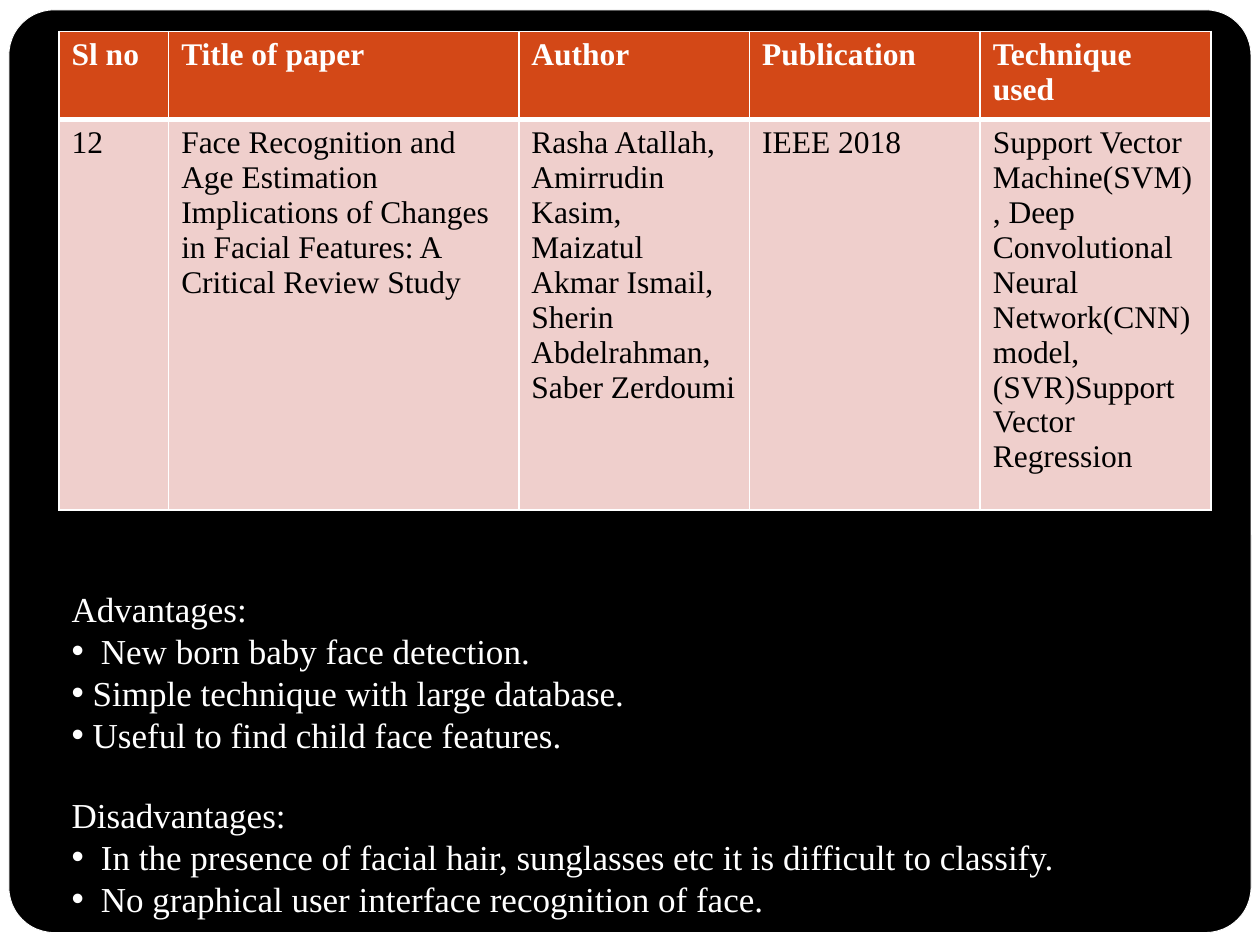
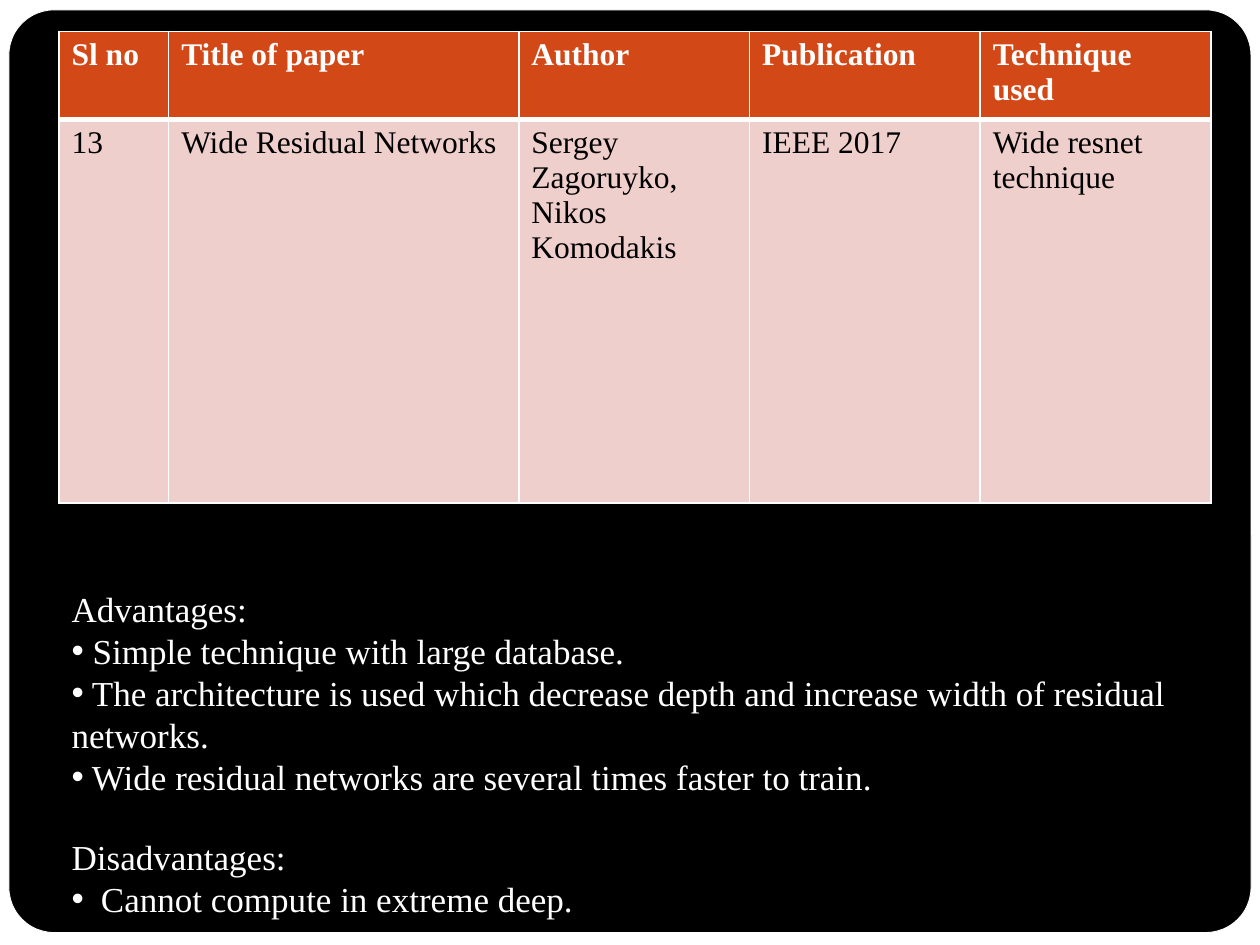
"""Builds two literature survey slides: a paper table above its pros and cons."""
from dataclasses import dataclass

from lxml import etree
from pptx import Presentation
from pptx import util as u
from pptx.dml.color import RGBColor
from pptx.enum import shapes, text
from pptx.oxml import ns


@dataclass(frozen=True)
class Theme:
    """Colours, font and type sizes shared by the slides."""
    white: str = "FFFFFF"
    black: str = "000000"
    header: str = "D34817"
    cell: str = "EFCFCC"
    font: str = "Times New Roman"
    table_size: int = 18
    list_size: int = 20
    line_spacing: float = 1.0
    section_gap: float = 21.6


@dataclass(frozen=True)
class Box:
    """A region of the slide in centimetres."""
    left: float
    top: float
    width: float
    height: float

    def lengths(self):
        """Return left, top, width and height as lengths."""
        return [u.Cm(value) for value in (self.left, self.top, self.width, self.height)]


@dataclass(frozen=True)
class Point:
    """A bulleted statement, either hanging or flush with the margin."""
    words: str
    hanging: bool = True


@dataclass(frozen=True)
class Paper:
    """One surveyed paper with its table cells and its pros and cons."""
    cells: tuple
    row_height: float
    advantages: tuple
    disadvantages: tuple


THEME = Theme()
PAGE = Box(0, 0, 25.4, 19.05)
PANEL = Box(0.18, 0.2, 25.04, 18.6)
REVIEW = Box(1.19, 11.71, 23.42, 7.05)
TABLE_LEFT, TABLE_TOP = 1.19, 0.63
COLUMN_WIDTHS = (2.21, 7.06, 4.65, 4.65, 4.65)
HEADER_HEIGHT = 1.78
HANGING_INDENT = 0.59
THIN, THICK = 1, 3
HEADINGS = ("Sl no", "Title of paper", "Author", "Publication", "Technique used")

PAPERS = (
    Paper(
        ("12",
         "Face Recognition and Age Estimation Implications of Changes in Facial "
         "Features: A Critical Review Study",
         "Rasha Atallah, Amirrudin Kasim, Maizatul Akmar Ismail, "
         "Sherin Abdelrahman, Saber Zerdoumi",
         "IEEE 2018",
         "Support Vector Machine(SVM), Deep Convolutional Neural Network(CNN) "
         "model, (SVR)Support Vector Regression"),
        7.87,
        (Point("New born baby face detection."),
         Point("Simple technique with large database.", False),
         Point("Useful to find child face features.", False)),
        (Point("In the presence of facial hair, sunglasses etc it is difficult to classify."),
         Point("No graphical user interface recognition of face.")),
    ),
    Paper(
        ("13", "Wide Residual Networks", "Sergey Zagoruyko,\nNikos Komodakis",
         "IEEE 2017", "Wide resnet technique"),
        7.73,
        (Point("Simple technique with large database.", False),
         Point("The architecture is used which decrease depth and increase width of "
               "residual networks.", False),
         Point("Wide residual networks are several times faster to train.", False)),
        (Point("Cannot compute in extreme deep."),),
    ),
)


def rgb(colour):
    """Turn a hex string into a colour."""
    return RGBColor.from_string(colour)


def set_font(para, size, colour, bold=False):
    """Format all text of a paragraph."""
    font = para.font
    font.name, font.size, font.bold = THEME.font, u.Pt(size), bold
    font.color.rgb = rgb(colour)


def paint_master(deck, page):
    """Give the slide master its black ground, white sheet and rounded panel."""
    master = deck.slide_master
    master.background.fill.solid()
    master.background.fill.fore_color.rgb = rgb(THEME.black)
    kinds = shapes.MSO_SHAPE
    layers = ((kinds.RECTANGLE, PAGE, THEME.white),
              (kinds.ROUNDED_RECTANGLE, PANEL, THEME.black))
    for order, (kind, box, colour) in enumerate(layers):
        layer = page.shapes.add_shape(kind, *box.lengths())
        layer.shadow.inherit = False
        layer.fill.solid()
        layer.fill.fore_color.rgb = rgb(colour)
        if kind == kinds.ROUNDED_RECTANGLE:
            layer.adjustments[0] = 0.049
            layer.line.color.rgb = rgb(THEME.white)
            layer.line.width = u.Pt(0.5)
        else:
            layer.line.fill.background()
        layer.element.nvSpPr.cNvPr.set("id", str(100 + order))
        master.shapes.element.insert(2 + order, layer.element)


def set_borders(cell, top, bottom):
    """Draw white cell borders with the given top and bottom widths."""
    properties = cell._tc.get_or_add_tcPr()
    widths = {"lnL": THIN, "lnR": THIN, "lnT": top, "lnB": bottom}
    for order, (side, width) in enumerate(widths.items()):
        line = etree.Element(ns.qn(f"a:{side}"), w=str(u.Pt(width)))
        fill = etree.SubElement(line, ns.qn("a:solidFill"))
        etree.SubElement(fill, ns.qn("a:srgbClr"), val=THEME.white)
        properties.insert(order, line)


def fill_row(table, row, words, fill, colour, bold, borders):
    """Write and format one table row."""
    for cell, label in zip(table.rows[row].cells, words):
        cell.text = label
        cell.fill.solid()
        cell.fill.fore_color.rgb = rgb(fill)
        set_borders(cell, *borders)
        for para in cell.text_frame.paragraphs:
            set_font(para, THEME.table_size, colour, bold)


def add_paper_table(page, paper, box):
    """Add the table that describes the paper."""
    table = page.shapes.add_table(2, len(HEADINGS), *box.lengths()).table
    for column, width in zip(table.columns, COLUMN_WIDTHS):
        column.width = u.Cm(width)
    for row, height in zip(table.rows, (HEADER_HEIGHT, paper.row_height)):
        row.height = u.Cm(height)
    fill_row(table, 0, HEADINGS, THEME.header, THEME.white, True, (THIN, THICK))
    fill_row(table, 1, paper.cells, THEME.cell, THEME.black, False, (THICK, THIN))


def set_bullet(para, bulleted, indent):
    """Set the bullet and hanging indent of a paragraph."""
    properties = para._p.get_or_add_pPr()
    properties.set("marL", str(u.Cm(indent)))
    properties.set("indent", str(-u.Cm(indent)))
    if bulleted:
        etree.SubElement(properties, ns.qn("a:buFont"), typeface="Arial")
        etree.SubElement(properties, ns.qn("a:buChar"), char="•")
    else:
        etree.SubElement(properties, ns.qn("a:buNone"))


def add_line(para, words, bulleted=False, indent=0, gap=0):
    """Write one heading or bulleted line of the review."""
    para.text = words
    para.line_spacing = THEME.line_spacing
    para.space_before, para.space_after = u.Pt(gap), u.Pt(0)
    set_bullet(para, bulleted, indent)
    set_font(para, THEME.list_size, THEME.white)


def fill_review(body, paper, box):
    """List the advantages and disadvantages in the body placeholder."""
    body.left, body.top, body.width, body.height = box.lengths()
    frame = body.text_frame
    frame.word_wrap = True
    frame.auto_size = text.MSO_AUTO_SIZE.SHAPE_TO_FIT_TEXT
    frame.vertical_anchor = text.MSO_ANCHOR.TOP
    add_line(frame.paragraphs[0], "Advantages:")
    add_points(frame, paper.advantages)
    add_line(frame.add_paragraph(), "Disadvantages:", gap=THEME.section_gap)
    add_points(frame, paper.disadvantages)


def add_points(frame, points):
    """Add bulleted statements below a heading."""
    for point in points:
        words = point.words if point.hanging else f" {point.words}"
        indent = HANGING_INDENT if point.hanging else 0
        add_line(frame.add_paragraph(), words, True, indent)


def add_paper_slide(deck, paper):
    """Add the slide of one paper."""
    page = deck.slides.add_slide(deck.slide_layouts[1])
    title = page.shapes.title.element
    title.getparent().remove(title)
    box = Box(TABLE_LEFT, TABLE_TOP, sum(COLUMN_WIDTHS), HEADER_HEIGHT + paper.row_height)
    add_paper_table(page, paper, box)
    fill_review(page.placeholders[1], paper, REVIEW)
    return page


def main():
    """Build and save the deck."""
    deck = Presentation()
    deck.slide_width, deck.slide_height = u.Cm(PAGE.width), u.Cm(PAGE.height)
    pages = [add_paper_slide(deck, paper) for paper in PAPERS]
    paint_master(deck, pages[0])
    deck.save("out.pptx")


if __name__ == "__main__":
    main()
